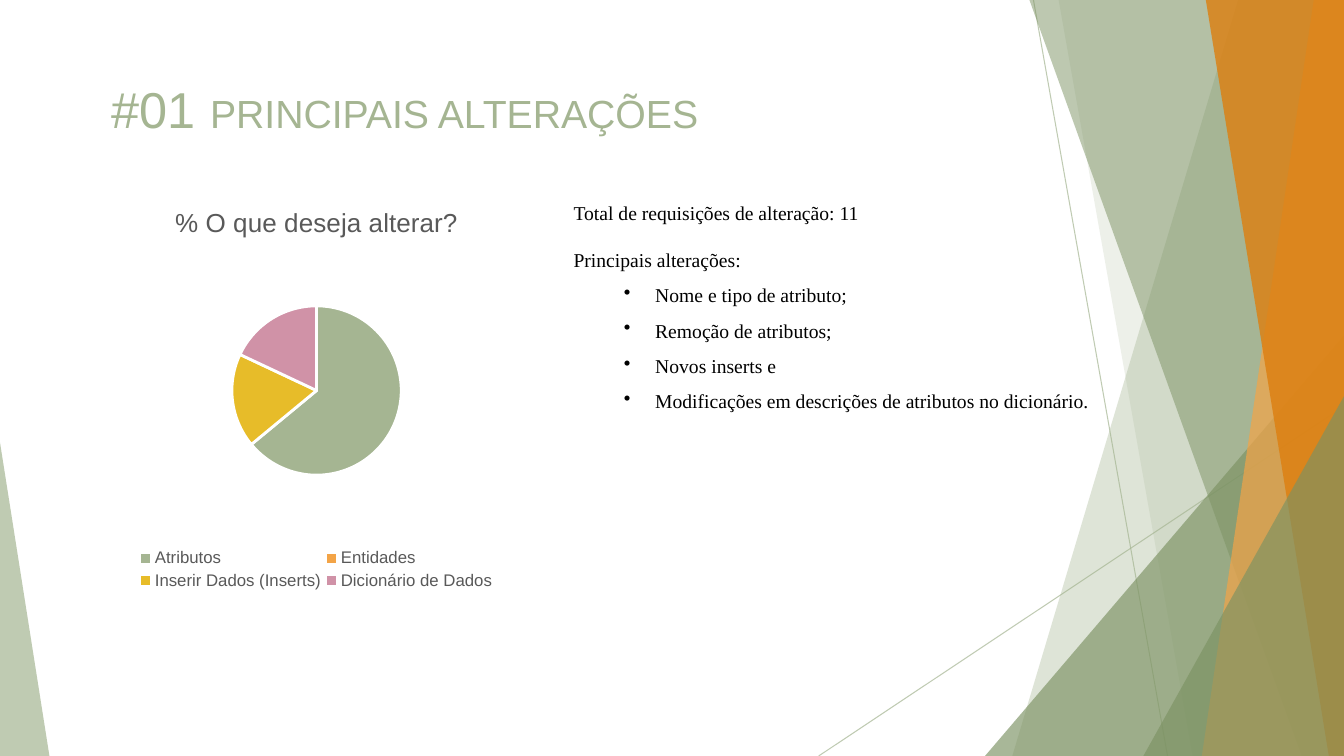
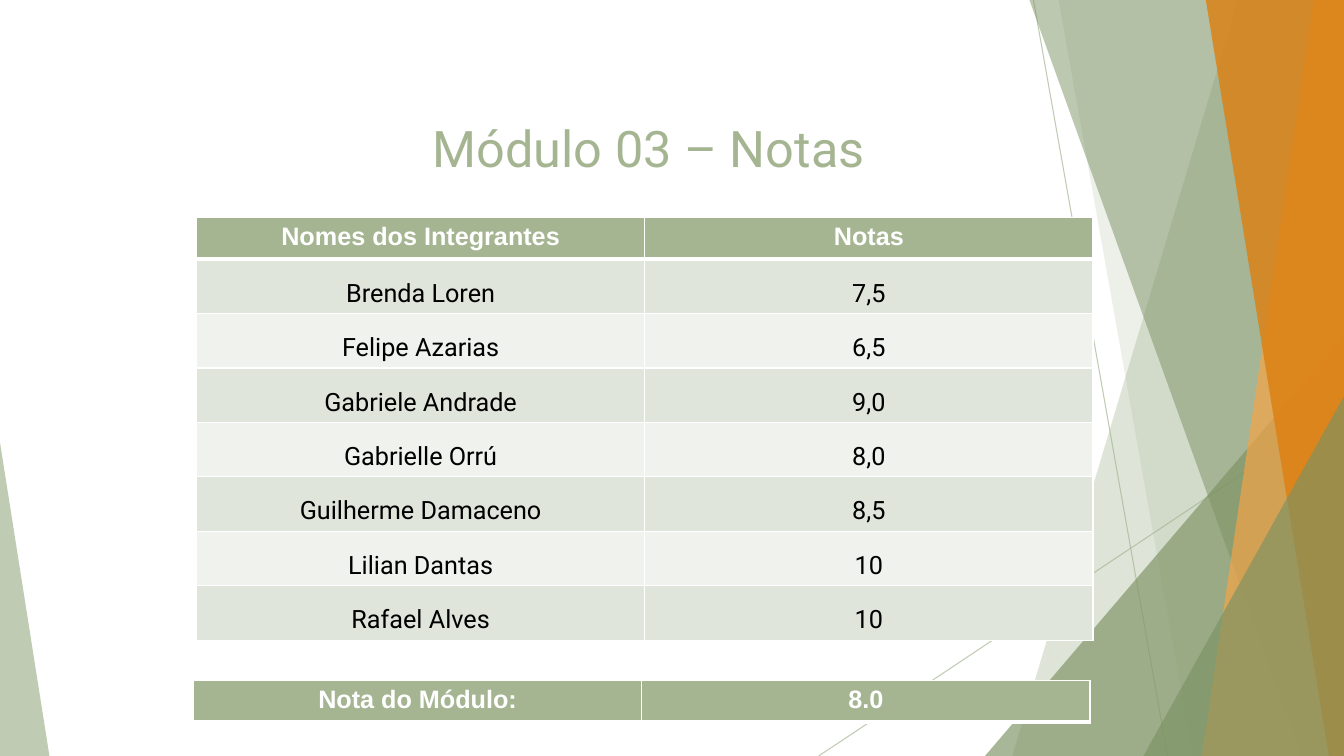
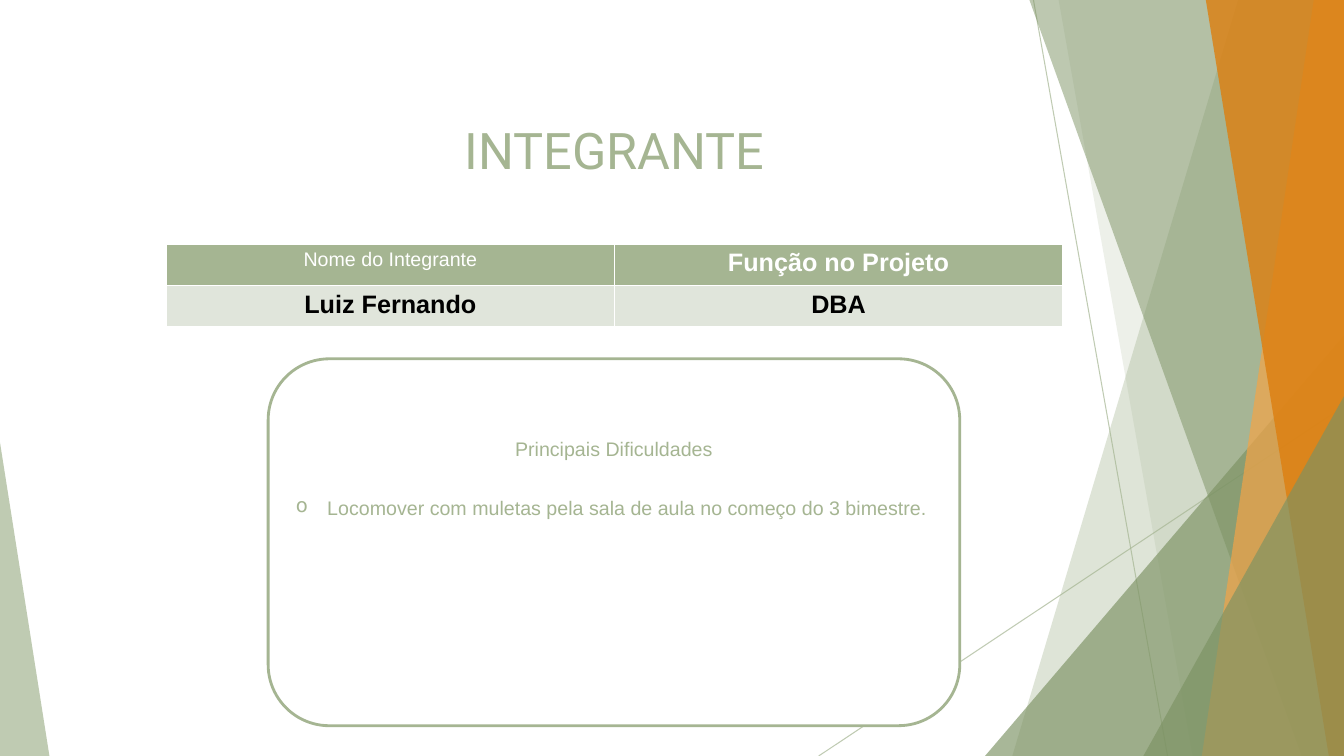
from pptx import Presentation
from pptx.chart.data import CategoryChartData
from pptx.dml.color import RGBColor
from pptx.enum.chart import XL_CHART_TYPE, XL_LEGEND_POSITION
from pptx.enum.shapes import MSO_CONNECTOR, MSO_SHAPE
from pptx.enum.text import MSO_ANCHOR, MSO_AUTO_SIZE, PP_ALIGN
from pptx.oxml import parse_xml
from pptx.oxml.ns import nsdecls, qn
from pptx.util import Inches, Pt
from lxml.etree import SubElement

SAGE = RGBColor(0xA5, 0xB5, 0x92)
MOSS = RGBColor(0x7C, 0x92, 0x63)
AMBER = RGBColor(0xF3, 0xA4, 0x47)
ORANGE = RGBColor(0xDD, 0x7E, 0x0E)
YELLOW = RGBColor(0xE7, 0xBC, 0x29)
PINK = RGBColor(0xD0, 0x92, 0xA7)
BAND_DARK = RGBColor(0xE0, 0xE5, 0xDB)
BAND_LIGHT = RGBColor(0xF0, 0xF2, 0xEE)
GRAY = RGBColor(0x59, 0x59, 0x59)
BLACK = RGBColor(0, 0, 0)
WHITE = RGBColor(0xFF, 0xFF, 0xFF)
SANS, SERIF, DISPLAY = "Arial", "Times New Roman", "Roboto"
WIDTH, HEIGHT = 13.33, 7.5


def style(font, name, size, color, bold=False):
    font.name, font.size, font.bold = name, Pt(size), bold
    font.color.rgb = color


def set_alpha(shape, percent):
    color = shape.element.spPr.find(".//" + qn("a:srgbClr"))
    SubElement(color, qn("a:alpha")).set("val", str(percent * 1000))


def add_bullet(p, char, indent):
    pPr = p._p.get_or_add_pPr()
    pPr.set("marL", str(Inches(indent)))
    pPr.set("indent", str(-Inches(0.31)))
    SubElement(pPr, qn("a:buChar")).set("char", char)
    p.line_spacing = 1.5


def place_title(slide, box, parts, font=DISPLAY, align=PP_ALIGN.CENTER):
    """Parts are (text, size) pairs, one run each."""
    title = slide.shapes.title
    title.left, title.top, title.width, title.height = map(Inches, box)
    tf = title.text_frame
    tf.auto_size = MSO_AUTO_SIZE.NONE
    tf.vertical_anchor = MSO_ANCHOR.MIDDLE
    p = tf.paragraphs[0]
    p.alignment = align
    for text, size in parts:
        r = p.add_run()
        r.text = text
        style(r.font, font, size, SAGE)


def facet_line(shapes, start, end):
    line = shapes.add_connector(MSO_CONNECTOR.STRAIGHT, *map(Inches, start + end))
    line.line.color.rgb = SAGE
    line.line.width = Pt(0.75)
    set_alpha(line, 70)
    SubElement(line.element.spPr, qn("a:effectLst"))
    return line


def facet_fill(shape, color, alpha):
    shape.shadow.inherit = False
    shape.fill.solid()
    shape.fill.fore_color.rgb = color
    shape.line.fill.background()
    set_alpha(shape, alpha)
    return shape


def facet_band(shapes, top_x, bottom_x, color, alpha):
    """Full-height band from a slanted left edge to the slide's right edge."""
    builder = shapes.build_freeform(Inches(top_x), 0)
    corners = [(WIDTH, 0), (WIDTH, HEIGHT), (bottom_x, HEIGHT)]
    builder.add_line_segments([(Inches(x), Inches(y)) for x, y in corners])
    return facet_fill(builder.convert_to_shape(), color, alpha)


def facet_triangle(shapes, left, top, width, apex, color, alpha):
    """Triangle standing on the slide's bottom edge."""
    sp = shapes.add_shape(MSO_SHAPE.ISOSCELES_TRIANGLE, Inches(left), Inches(top),
                          Inches(width), Inches(HEIGHT - top))
    sp.adjustments[0] = apex
    return facet_fill(sp, color, alpha)


def move_facets_to_layout(slide):
    """Draw the shared facets and hand them to the slide's layout."""
    shapes = slide.shapes
    facets = [
        facet_line(shapes, (10.25, 0), (11.58, HEIGHT)),
        facet_line(shapes, (WIDTH, 4.03), (8.12, HEIGHT)),
        facet_band(shapes, 12.28, 10.04, SAGE, 36),
        facet_band(shapes, 10.5, 11.83, SAGE, 20),
        facet_triangle(shapes, 9.77, 3.33, 3.56, 1, MOSS, 66),
        facet_band(shapes, 10.21, 12.91, MOSS, 50),
        facet_band(shapes, 13.03, 11.92, AMBER, 70),
        facet_band(shapes, 11.96, 13.18, ORANGE, 80),
        facet_triangle(shapes, 11.34, 3.93, 1.99, 1, MOSS, 66),
        facet_triangle(shapes, 0, 4.39, 0.49, 0, SAGE, 70),
    ]
    tree = slide.slide_layout.shapes.element
    for i, facet in enumerate(facets):
        tree.insert(2 + i, facet.element)


def set_layout(parent, x, y, w, h, inner=False):
    """Fix the place of a chart part, in fractions of the chart."""
    target = '<c:layoutTarget val="inner"/>' if inner else ""
    values = "".join(f'<c:{tag} val="{val}"/>' for tag, val in
                     (("xMode", "edge"), ("yMode", "edge"),
                      ("x", x), ("y", y), ("w", w), ("h", h)))
    layout = parse_xml(f'<c:layout {nsdecls("c")}><c:manualLayout>{target}{values}'
                       '</c:manualLayout></c:layout>')
    for old in parent.findall(qn("c:layout")):
        parent.remove(old)
    position = parent.find(qn("c:legendPos"))
    parent.insert(0 if position is None else 1, layout)


def add_changes_pie(slide, box):
    data = CategoryChartData()
    data.categories = ["Atributos", "Entidades", "Inserir Dados (Inserts)",
                       "Dicionário de Dados"]
    data.add_series("Series 1", (64, 0, 18, 18))
    chart = slide.shapes.add_chart(XL_CHART_TYPE.PIE, *map(Inches, box), data).chart
    style(chart.font, SANS, 10, BLACK)

    chart.has_title = True
    tf = chart.chart_title.text_frame
    tf.text = "% O que deseja alterar?"
    style(tf.paragraphs[0].runs[0].font, SANS, 18.6, GRAY)

    chart.has_legend = True
    legend = chart.legend
    legend.position = XL_LEGEND_POSITION.BOTTOM
    legend.include_in_layout = False
    style(legend.font, SANS, 12, GRAY)
    set_layout(legend._element, 0.2, 0.88, 0.6, 0.12)

    plot = chart.plots[0]
    plot.vary_by_categories = True
    set_layout(plot._element.getparent(), 0.36, 0.29, 0.28, 0.42, inner=True)
    for i, color in enumerate((SAGE, AMBER, YELLOW, PINK)):
        fmt = plot.series[0].points[i].format
        fmt.fill.solid()
        fmt.fill.fore_color.rgb = color
        fmt.line.color.rgb = WHITE
        fmt.line.width = Pt(2)


def add_changes_text(slide, box):
    tf = slide.shapes.add_textbox(*map(Inches, box)).text_frame
    tf.word_wrap = True
    intro = ["Total de requisições de alteração: 11", "Principais alterações:"]
    changes = ["Nome e tipo de atributo;", "Remoção de atributos;", "Novos inserts e",
               "Modificações em descrições de atributos no dicionário."]
    for i, text in enumerate(intro + changes):
        p = tf.paragraphs[0] if i == 0 else tf.add_paragraph()
        p.text = text
        if i == 1:
            p.space_before = Pt(17)
        if text in changes:
            add_bullet(p, "•", 0.81)
        style(p.runs[0].font, SERIF, 14, BLACK)


def set_borders(cell, bottom=1, top=1):
    tcPr = cell._tc.get_or_add_tcPr()
    widths = {"lnL": 1, "lnR": 1, "lnT": top, "lnB": bottom}
    for i, (tag, width) in enumerate(widths.items()):
        tcPr.insert(i, parse_xml(
            f'<a:{tag} {nsdecls("a")} w="{Pt(width)}"><a:solidFill>'
            f'<a:srgbClr val="{WHITE}"/></a:solidFill></a:{tag}>'))


def add_grid(slide, left, top, rows, header_rule=3, body_font=SANS,
             body_bold=False, body_spacing=None):
    """Two-column table with a sage header and banded body rows."""
    row_height = 0.41
    table = slide.shapes.add_table(
        len(rows), 2, Inches(left), Inches(top),
        Inches(8.89), Inches(row_height * len(rows))).table
    table.horz_banding = False
    for i, row in enumerate(rows):
        for j, text in enumerate(row):
            cell = table.cell(i, j)
            cell.text = text
            cell.fill.solid()
            p = cell.text_frame.paragraphs[0]
            p.alignment = PP_ALIGN.CENTER
            if i == 0:
                cell.fill.fore_color.rgb = SAGE
                style(p.runs[0].font, SANS, 18, WHITE, True)
            else:
                cell.fill.fore_color.rgb = BAND_DARK if i % 2 else BAND_LIGHT
                p.line_spacing = body_spacing
                style(p.runs[0].font, body_font, 18, BLACK, body_bold)
            set_borders(cell, bottom=header_rule if i == 0 else 1,
                        top=header_rule if i == 1 else 1)
    return table


def add_difficulties_card(slide, box):
    sp = slide.shapes.add_shape(MSO_SHAPE.ROUNDED_RECTANGLE, *map(Inches, box))
    sp.shadow.inherit = False
    sp.fill.solid()
    sp.fill.fore_color.rgb = WHITE
    sp.line.color.rgb = SAGE
    sp.line.width = Pt(2)
    tf = sp.text_frame
    tf.word_wrap = True
    tf.vertical_anchor = MSO_ANCHOR.TOP
    tf.margin_top = Inches(0.6)
    heading, item = tf.paragraphs[0], tf.add_paragraph()
    heading.text = "Principais Dificuldades"
    heading.alignment = PP_ALIGN.CENTER
    item.text = "Locomover com muletas pela sala de aula no começo do 3 bimestre."
    item.alignment = PP_ALIGN.LEFT
    item.space_before = Pt(17)
    add_bullet(item, "o", 0.31)
    for p in (heading, item):
        style(p.runs[0].font, SANS, 14, SAGE)


def build_changes(slide):
    place_title(slide, (1.01, 0.72, 10.4, 0.71),
                [("#01 ", 36), ("PRINCIPAIS ALTERAÇÕES", 28)], SANS, PP_ALIGN.LEFT)
    add_changes_pie(slide, (0.14, 1.86, 6, 4.03))
    add_changes_text(slide, (5.59, 1.94, 5.6, 4.49))


def build_grades(slide):
    place_title(slide, (1.12, 1.11, 10.63, 0.71), [("Módulo 03 – Notas", 36)])
    grades = [("Nomes dos Integrantes", "Notas"), ("Brenda Loren", "7,5"),
              ("Felipe Azarias", "6,5"), ("Gabriele Andrade", "9,0"),
              ("Gabrielle Orrú", "8,0"), ("Guilherme Damaceno", "8,5"),
              ("Lilian Dantas", "10"), ("Rafael Alves", "10")]
    add_grid(slide, 1.95, 2.16, grades, body_font=DISPLAY, body_spacing=1.5)
    add_grid(slide, 1.92, 6.75, [("Nota do Módulo:", "8.0")])


def build_member(slide):
    place_title(slide, (0.78, 1.13, 10.63, 0.71), [("INTEGRANTE", 36)])
    table = add_grid(slide, 1.65, 2.42,
                     [("Nome do Integrante", "Função no Projeto"),
                      ("Luiz Fernando", "DBA")], header_rule=1, body_bold=True)
    name_header = table.cell(0, 0).text_frame.paragraphs[0].runs[0]
    style(name_header.font, SANS, 14, WHITE)
    add_difficulties_card(slide, (2.66, 3.56, 6.86, 3.64))


def main():
    prs = Presentation()
    prs.slide_width, prs.slide_height = Inches(WIDTH), Inches(HEIGHT)
    title_only = prs.slide_layouts[5]
    for i, build in enumerate((build_changes, build_grades, build_member)):
        slide = prs.slides.add_slide(title_only)
        if i == 0:
            move_facets_to_layout(slide)
        build(slide)
    prs.save("out.pptx")


if __name__ == "__main__":
    main()
